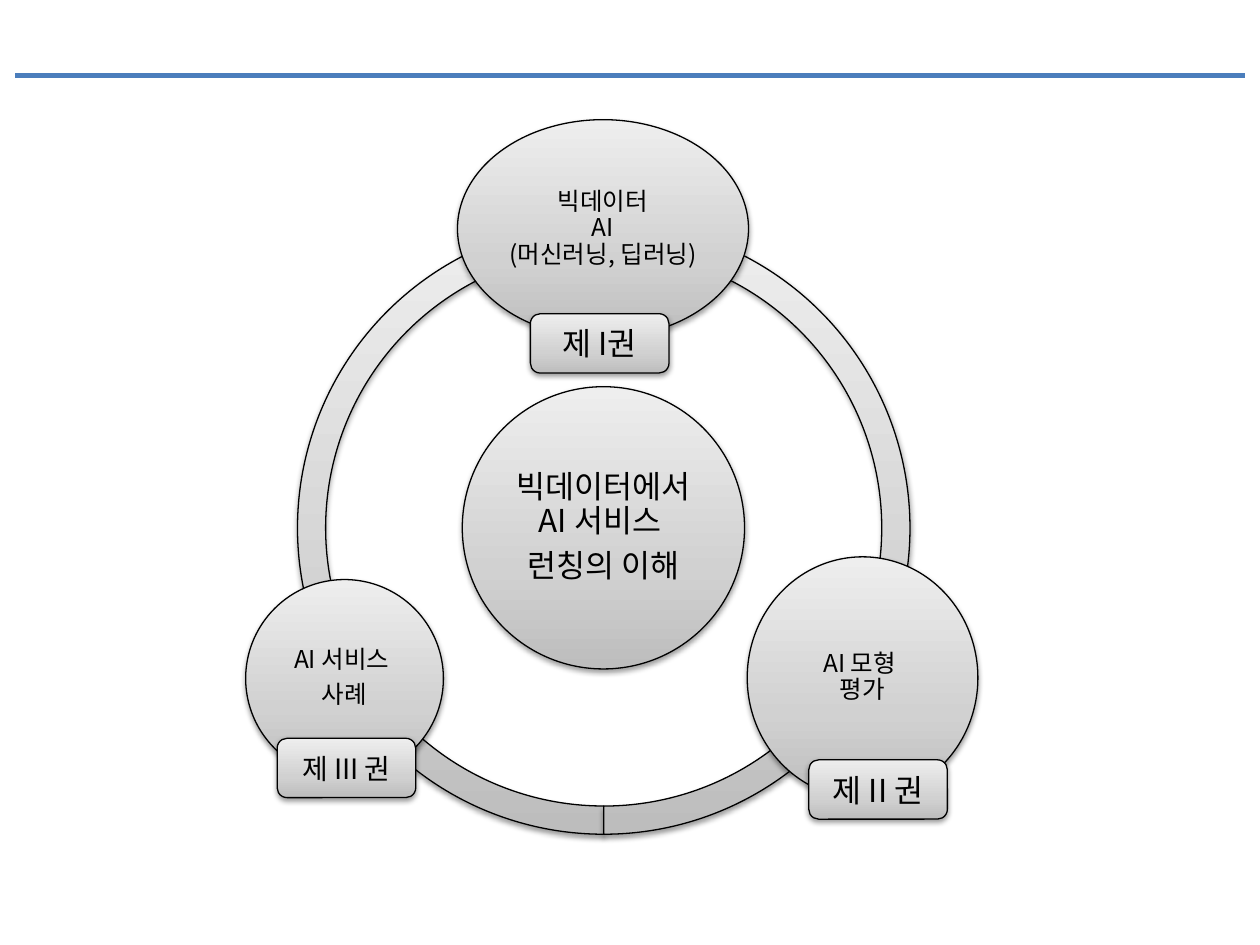
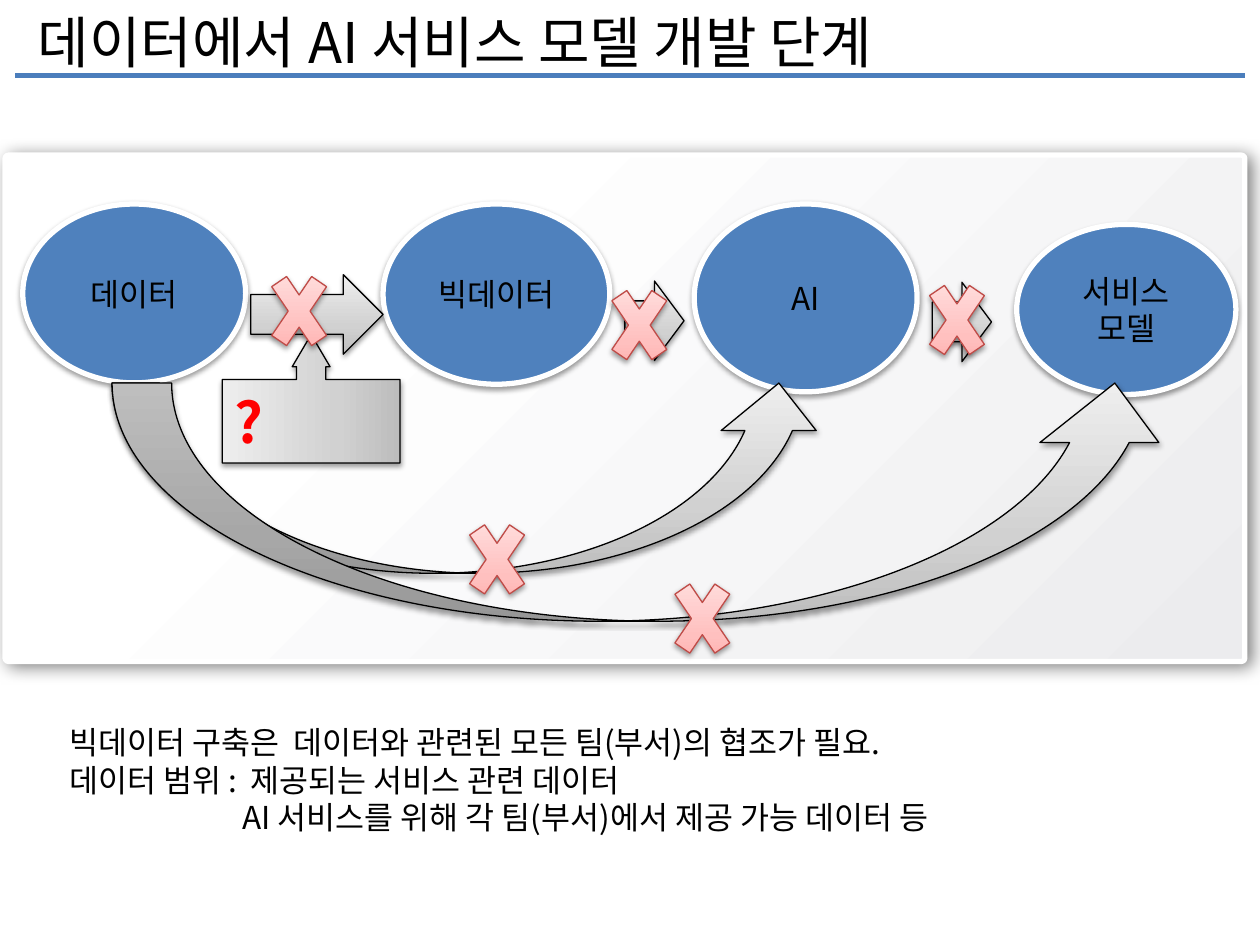
from lxml import etree
from pptx import Presentation
from pptx.dml.color import RGBColor
from pptx.enum.shapes import MSO_CONNECTOR, MSO_SHAPE
from pptx.enum.text import MSO_ANCHOR, PP_ALIGN
from pptx.oxml.ns import qn
from pptx.util import Pt

STRAIGHT = MSO_CONNECTOR.STRAIGHT
ARC = MSO_SHAPE.BLOCK_ARC
OVAL = MSO_SHAPE.OVAL
ROUNDED = MSO_SHAPE.ROUNDED_RECTANGLE
ARROW = MSO_SHAPE.RIGHT_ARROW
CALLOUT = MSO_SHAPE.RIGHT_ARROW_CALLOUT
CURVED_ARROW = MSO_SHAPE.CURVED_UP_ARROW
CROSS = MSO_SHAPE.MATH_MULTIPLY
MIDDLE = MSO_ANCHOR.MIDDLE
CENTER, LEFT = PP_ALIGN.CENTER, PP_ALIGN.LEFT

FONT = "Noto Sans CJK KR"
COLORS = {
    "rule": "4B7EBC", "blue": "4F81BD", "white": "FFFFFF", "black": "000000",
    "red": "FF0000", "cross_line": "BF4C48",
}
# Gradient: stops as (percent, colour), then the counter-clockwise angle
GRADIENTS = {
    "grey": ([(0, "BDBDBD"), (35, "D1D1D1"), (100, "EEEEEE")], 90),
    "pink": ([(0, "FFA6A5"), (35, "FFC0BF"), (100, "FFE7E7")], 90),
    "panel": ([(28, "FFFFFF"), (100, "ECECEE")], 315),
}
# Shadow: opacity in percent, blur, distance, direction in degrees
SOFT_SHADOW = (38, 3.1, 1.6, 90)
PANEL_SHADOW = (50, 10, 3, 30)


def rgb(name):
    return RGBColor.from_string(COLORS[name])


def child(parent, tag, **attrs):
    return etree.SubElement(parent, qn(tag), {k: str(v) for k, v in attrs.items()})


class Deck:
    def __init__(self):
        self.prs = Presentation()
        self.prs.slide_width, self.prs.slide_height = Pt(720), Pt(540)
        self.s = None

    def slide(self):
        """Start a blank slide with the blue rule under the title area."""
        self.s = self.prs.slides.add_slide(self.prs.slide_layouts[6])
        rule = self.s.shapes.add_connector(STRAIGHT, Pt(8.6), Pt(43.2), Pt(711.4), Pt(43.2))
        rule.line.color.rgb = rgb("rule")
        rule.line.width = Pt(3)
        child(rule._element.spPr, "a:effectLst")

    def shape(self, kind, x, y, w, h, fill="grey", line="black", weight=0.75,
              shadow=SOFT_SHADOW, adjust=()):
        sp = self.s.shapes.add_shape(kind, Pt(x), Pt(y), Pt(w), Pt(h))
        for i, value in enumerate(adjust):
            sp.adjustments[i] = value
        if fill in GRADIENTS:
            self.gradient(sp, *GRADIENTS[fill])
        else:
            sp.fill.solid()
            sp.fill.fore_color.rgb = rgb(fill)
        sp.line.color.rgb = rgb(line)
        sp.line.width = Pt(weight)
        self.shadow(sp, *shadow)
        return sp

    def gradient(self, sp, stops, angle):
        sp.fill.gradient()
        sp.fill.gradient_angle = angle
        stop_list = sp._element.spPr.find(qn("a:gradFill")).find(qn("a:gsLst"))
        stop_list.clear()
        for percent, color in stops:
            child(child(stop_list, "a:gs", pos=percent * 1000), "a:srgbClr", val=color)

    def shadow(self, sp, opacity, blur, distance, direction):
        sp.shadow.inherit = False
        effects = sp._element.spPr.find(qn("a:effectLst"))
        outer = child(effects, "a:outerShdw", blurRad=Pt(blur), dist=Pt(distance),
                      dir=direction * 60000, rotWithShape=0)
        color = child(outer, "a:srgbClr", val=COLORS["black"])
        child(color, "a:alpha", val=opacity * 1000)

    def text(self, sp, text, size=18, color="black", align=CENTER, bold=False,
             inset=None, spacing=None):
        """Fill a shape: newline starts a paragraph, vertical tab breaks a line."""
        tf = sp.text_frame
        tf.word_wrap = True
        tf.vertical_anchor = MIDDLE
        if inset is not None:
            tf.margin_left = tf.margin_right = tf.margin_top = tf.margin_bottom = Pt(inset)
        tf.text = text
        for p in tf.paragraphs:
            p.alignment = align
            if spacing:
                p.line_spacing = spacing
                p.space_after = Pt(size * 0.35)
            p.font.size = Pt(size)
            p.font.bold = bold
            p.font.color.rgb = rgb(color)
            p.font.name = FONT
            child(p._p.pPr.find(qn("a:defRPr")), "a:ea", typeface=FONT)
        return tf

    def textbox(self, x, y, w, h, text, size=18):
        box = self.s.shapes.add_textbox(Pt(x), Pt(y), Pt(w), Pt(h))
        return self.text(box, text, size, align=LEFT)

    def bubble(self, x, y, w, h, text, size=14):
        self.text(self.shape(OVAL, x, y, w, h), text, size, inset=1.5, spacing=0.9)

    def volume_label(self, x, y, text, size=18):
        self.text(self.shape(ROUNDED, x, y, 79.2, 33.9), text, size)

    def stage(self, x, y, w, h, text):
        self.text(self.shape(OVAL, x, y, w, h, "blue", "white", 3), text)

    def arrow(self, x, y, w):
        self.shape(ARROW, x, y, w, 45.4)

    def cross(self, x, y):
        self.shape(CROSS, x, y, 43.9, 64.8, "pink", "cross_line")


def volumes_slide(deck):
    deck.slide()
    for start, end in [(90, 162), (18, 90), (162, 18)]:
        # Angles are stored in 60000ths of a degree, adjustments in 100000ths
        deck.shape(ARC, 170, 126.7, 350, 350, adjust=(start * 0.6, end * 0.6, 0.046))
    deck.bubble(264.2, 221, 161.3, 161.3, "빅데이터에서\vAI 서비스 \n런칭의 이해", 18)
    deck.bubble(261.4, 68.4, 166.3, 124.6, "빅데이터\vAI\v(머신러닝, 딥러닝)")
    deck.bubble(427, 318.2, 131.8, 138.2, "AI 모형 \v평가")
    deck.bubble(140.4, 331.2, 113, 113, "AI 서비스 \n사례")
    deck.volume_label(303.1, 179.3, "제 I권")
    deck.volume_label(462.2, 434.2, "제 II 권")
    deck.volume_label(158.4, 421.9, "제 III 권", 16)


def stages_slide(deck):
    deck.slide()
    deck.shape(ROUNDED, 2.9, 88.6, 708.5, 289.4, "panel", "white", 3,
               PANEL_SHADOW, adjust=(0.007,))
    deck.textbox(14.4, 9.4, 669.6, 28.1, "데이터에서 AI 서비스 모델 개발 단계", 32)

    deck.stage(13, 116.6, 127.4, 102.2, "데이터")
    deck.stage(218.9, 116.6, 129.6, 103, "빅데이터")
    deck.stage(396.7, 116.6, 127.4, 107.3, "AI")
    deck.stage(581, 128.2, 125.3, 97.2, "서비스 모델")

    deck.arrow(143.3, 157, 75.6)
    question = deck.shape(CALLOUT, 141.1, 177.1, 73.4, 101.5,
                          adjust=(0.227, 0.147, 0.25, 0.65))
    question.rotation = 270
    tf = deck.text(question, "?", 32, "red", bold=True)
    tf._txBody.bodyPr.set("vert", "eaVert")
    deck.arrow(357.1, 160.6, 33.8)
    deck.arrow(532.8, 161.3, 33.8)
    deck.cross(149, 145.4)

    tf = deck.textbox(
        32.4, 409, 663.1, 72.7,
        "빅데이터 구축은  데이터와 관련된 모든 팀(부서)의 협조가 필요.\n"
        "데이터 범위 :  제공되는 서비스 관련 데이터\n"
        "AI 서비스를 위해 각 팀(부서)에서 제공 가능 데이터 등")
    tf.paragraphs[2]._p.pPr.set("marL", str(Pt(99)))

    for w, h in [(408.2, 108.7), (607, 136.1)]:
        deck.shape(CURVED_ARROW, 64.1, 218.9, w, h)
    for x, y in [(343.4, 153.4), (524.9, 150.5), (262.1, 287.3), (379.4, 321.1)]:
        deck.cross(x, y)


def main():
    deck = Deck()
    volumes_slide(deck)
    stages_slide(deck)
    deck.prs.save("out.pptx")


if __name__ == "__main__":
    main()
